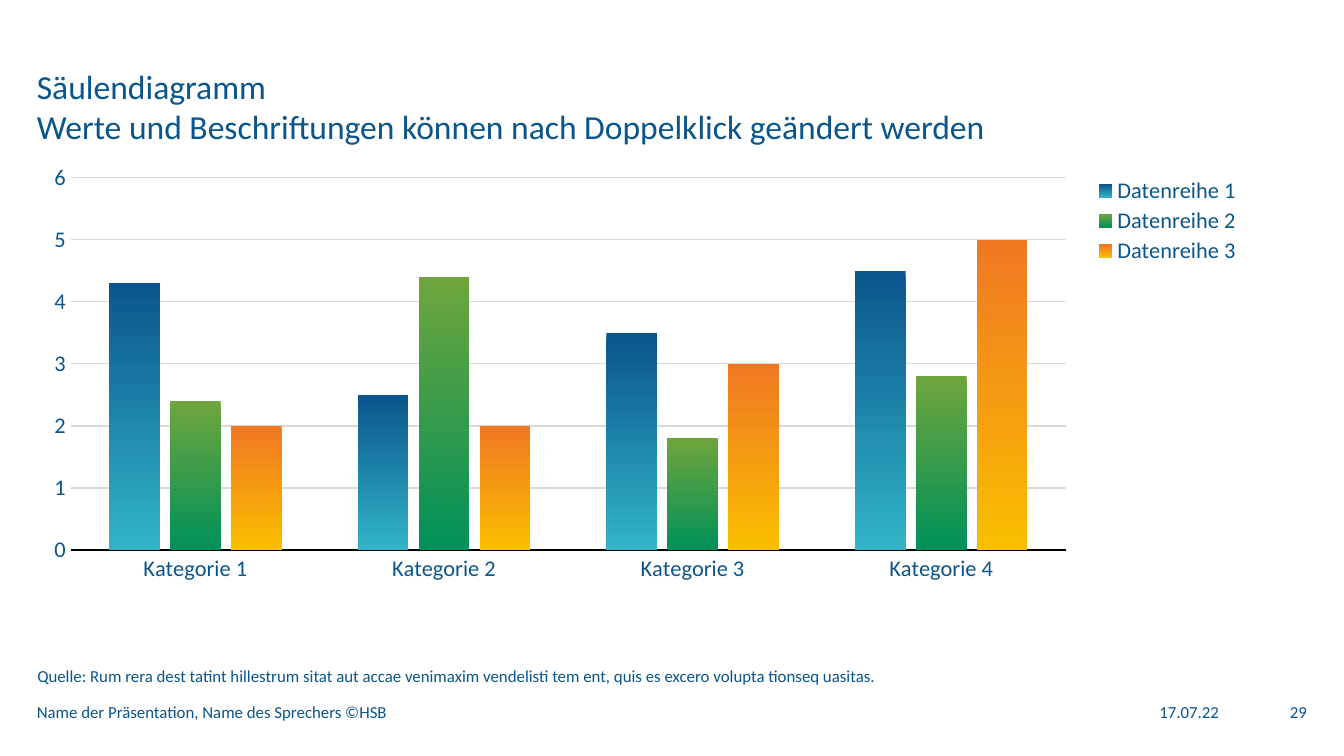
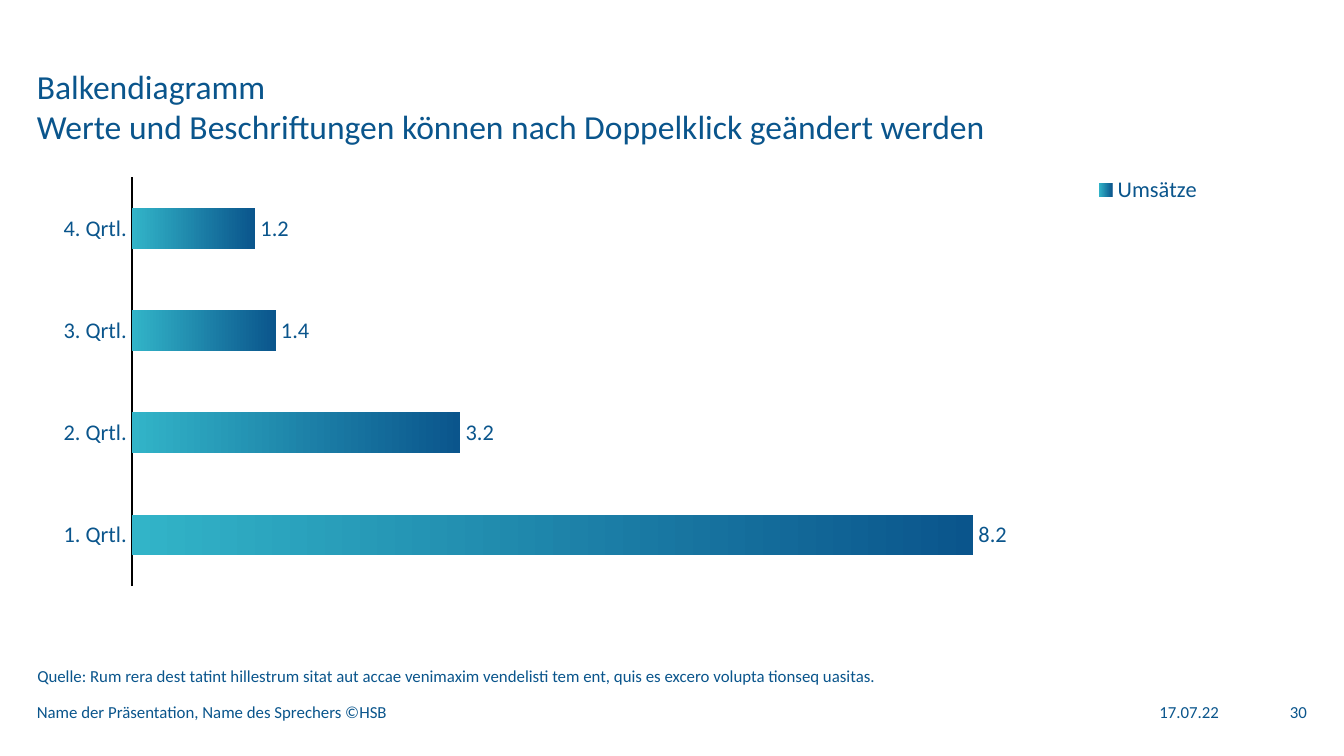
from lxml import etree
from pptx import Presentation
from pptx.chart.data import CategoryChartData
from pptx.dml.color import RGBColor
from pptx.enum.chart import (XL_CHART_TYPE, XL_LABEL_POSITION, XL_LEGEND_POSITION,
                             XL_TICK_MARK)
from pptx.enum.text import MSO_ANCHOR, PP_ALIGN
from pptx.util import Inches, Pt

COLUMN, BAR = XL_CHART_TYPE.COLUMN_CLUSTERED, XL_CHART_TYPE.BAR_CLUSTERED
LEFT, RIGHT = PP_ALIGN.LEFT, PP_ALIGN.RIGHT
TOP, MIDDLE, BOTTOM = MSO_ANCHOR.TOP, MSO_ANCHOR.MIDDLE, MSO_ANCHOR.BOTTOM
NO_TICK = XL_TICK_MARK.NONE

W = Inches(10)
H = W * 9 // 16
FONT = "Calibri"
C = {"blue": "0A558C", "cyan": "32B4C8", "lime": "6EA53C", "green": "00915A",
     "orange": "F07823", "yellow": "FABE00", "grid": "D9D9D9", "axis": "000000"}

# Shares of the slide's size, in percent
MARGIN, CONTENT = 2.74, 94.5
FOOT_TOP, LINE = 92.7, 2.85

SUBTITLE = "Werte und Beschriftungen können nach Doppelklick geändert werden"
SOURCE = ("Quelle: Rum rera dest tatint hillestrum sitat aut accae venimaxim "
          "vendelisti tem ent, quis es excero volupta tionseq uasitas.")
FOOTER = "Name der Präsentation, Name des Sprechers ©HSB"
DATE = "17.07.22"


def rgb(name):
    return RGBColor.from_string(C[name])


def box(x, y, w, h):
    """Turn percent of the slide into lengths."""
    return [int(v * side / 100) for v, side in ((x, W), (y, H), (w, W), (h, H))]


def style_font(font, size):
    font.name, font.size = FONT, Pt(size)
    font.color.rgb = rgb("blue")


def add_text(s, text, place, size=9, align=LEFT, anchor=MIDDLE):
    tf = s.shapes.add_textbox(*box(*place)).text_frame
    tf.margin_left = tf.margin_right = tf.margin_top = tf.margin_bottom = 0
    tf.word_wrap = True
    tf.vertical_anchor = anchor
    p = tf.paragraphs[0]
    p.text, p.alignment = text, align
    style_font(p.font, size)


def add_frame(prs, title, number):
    """Add a slide with its title, source line and footer."""
    s = prs.slides.add_slide(prs.slide_layouts[6])
    add_text(s, f"{title}\v{SUBTITLE}", (MARGIN, 8.7, CONTENT, 10.5), 18, anchor=TOP)
    add_text(s, DATE, (82.3, FOOT_TOP, 8.4, LINE), align=RIGHT)
    add_text(s, FOOTER, (MARGIN, FOOT_TOP, 74.4, LINE))
    add_text(s, str(number), (92.95, FOOT_TOP, 4.3, LINE), align=RIGHT)
    add_text(s, SOURCE, (2.77, 87.82, CONTENT, LINE), anchor=BOTTOM)
    return s


def set_layout(parent, x, y, w, h, inner=False):
    """Place the plot area or the legend by shares of the chart's size."""
    ns = parent.nsmap["c"]
    for old in parent.findall(f"{{{ns}}}layout"):
        parent.remove(old)
    layout = etree.Element(f"{{{ns}}}layout")
    manual = etree.SubElement(layout, f"{{{ns}}}manualLayout")
    values = [("layoutTarget", "inner")] if inner else []
    values += [("xMode", "edge"), ("yMode", "edge"), ("x", x), ("y", y), ("w", w), ("h", h)]
    for tag, value in values:
        etree.SubElement(manual, f"{{{ns}}}{tag}").set("val", str(value))
    parent.insert(0 if inner else 1, layout)


def add_chart(s, kind, cats, series, top_value, plot_area, legend_width):
    data = CategoryChartData(number_format="General")
    data.categories = cats
    for name, values in series:
        data.add_series(name, values)
    chart = s.shapes.add_chart(kind, *box(MARGIN, 21.3, CONTENT, 58.84), data).chart
    chart.has_title = False
    style_font(chart.font, 12)

    chart.has_legend = True
    legend = chart.legend
    legend.position = XL_LEGEND_POSITION.RIGHT
    legend.include_in_layout = False
    set_layout(legend._element, 0.83, 0.03, legend_width, 0.07 * len(series))
    set_layout(chart._chartSpace.chart.plotArea, *plot_area, inner=True)

    plot = chart.plots[0]
    plot.gap_width, plot.vary_by_categories = 150, False
    cat_axis, val_axis = chart.category_axis, chart.value_axis
    cat_axis.major_tick_mark = val_axis.major_tick_mark = NO_TICK
    cat_axis.has_major_gridlines = False
    cat_axis.format.line.color.rgb = rgb("axis")
    cat_axis.format.line.width = Pt(0.75)
    val_axis.minimum_scale, val_axis.maximum_scale = 0, top_value
    val_axis.major_unit = 1
    val_axis.format.line.fill.background()
    return chart


def fill_gradient(series, start, end, angle):
    fill = series.format.fill
    fill.gradient()
    fill.gradient_angle = angle
    for stop, name in zip(fill.gradient_stops, (start, end)):
        stop.color.rgb = rgb(name)
    series.invert_if_negative = False


def add_column_slide(prs):
    s = add_frame(prs, "Säulendiagramm", 29)
    chart = add_chart(s, COLUMN, [f"Kategorie {i}" for i in range(1, 5)],
                      [("Datenreihe 1", (4.3, 2.5, 3.5, 4.5)),
                       ("Datenreihe 2", (2.4, 4.4, 1.8, 2.8)),
                       ("Datenreihe 3", (2, 2, 3, 5))],
                      6, (0.027, 0.037, 0.783, 0.838), 0.12)
    chart.plots[0].overlap = -20
    line = chart.value_axis.major_gridlines.format.line
    line.color.rgb, line.width = rgb("grid"), Pt(0.75)
    pairs = (("blue", "cyan"), ("lime", "green"), ("orange", "yellow"))
    for series, (start, end) in zip(chart.plots[0].series, pairs):
        fill_gradient(series, start, end, 270)


def add_bar_slide(prs):
    s = add_frame(prs, "Balkendiagramm", 30)
    chart = add_chart(s, BAR, [f"{i}. Qrtl." for i in range(1, 5)],
                      [("Umsätze", (8.2, 3.2, 1.4, 1.2))],
                      9, (0.075, 0.037, 0.727, 0.919), 0.09)
    chart.value_axis.has_major_gridlines = False
    chart.value_axis.visible = False
    sales = chart.plots[0].series[0]
    fill_gradient(sales, "cyan", "blue", 0)
    labels = sales.data_labels
    labels.show_value = True
    labels.position = XL_LABEL_POSITION.OUTSIDE_END
    style_font(labels.font, 12)


def main():
    prs = Presentation()
    prs.slide_width, prs.slide_height = W, H
    add_column_slide(prs)
    add_bar_slide(prs)
    prs.save("out.pptx")


if __name__ == "__main__":
    main()
